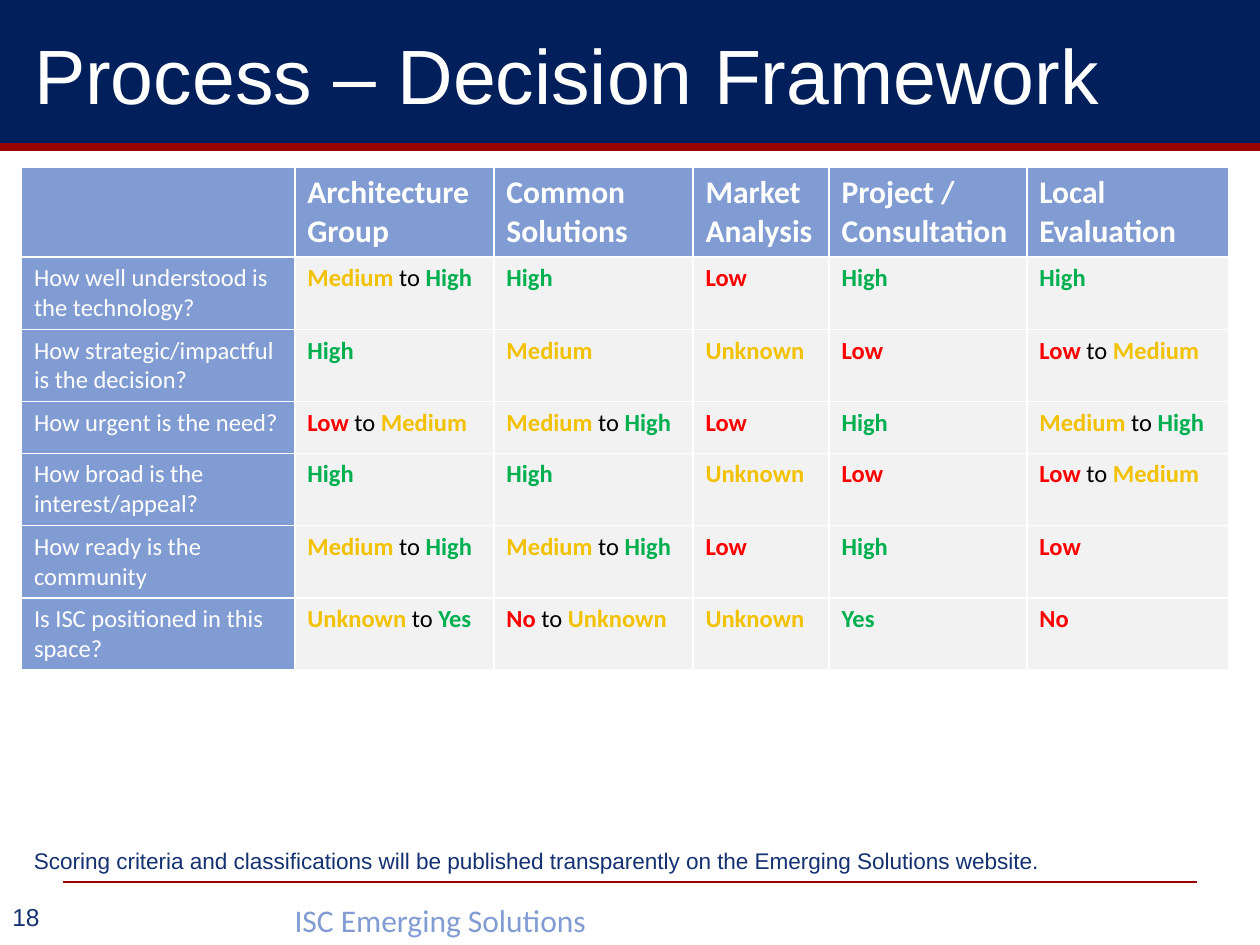
from lxml.etree import SubElement
from pptx import Presentation
from pptx.dml.color import RGBColor
from pptx.enum.shapes import MSO_CONNECTOR, MSO_SHAPE
from pptx.enum.text import MSO_ANCHOR, PP_ALIGN
from pptx.oxml.ns import qn
from pptx.util import Inches, Pt

NAVY = RGBColor(0x01, 0x1F, 0x5B)
INK = RGBColor(0x14, 0x31, 0x71)
MAROON = RGBColor(0x99, 0x00, 0x00)
BLUE = RGBColor(0x81, 0x9C, 0xD2)
PALE = RGBColor(0xF2, 0xF2, 0xF2)
WHITE = RGBColor(0xFF, 0xFF, 0xFF)
BLACK = RGBColor(0x00, 0x00, 0x00)
GREEN = RGBColor(0x00, 0xB0, 0x50)
AMBER = RGBColor(0xF2, 0xC1, 0x00)
RED = RGBColor(0xFF, 0x00, 0x00)

WIDTH, HEIGHT = 10, 7.5
BAND = 1.17
LEFT = 0.17
TABLE_TOP = 1.33
ROW = 0.41
COLS = [2.17, 1.58, 1.58, 1.08, 1.57, 1.6]

GRADES = {"High": GREEN, "Yes": GREEN, "Medium": AMBER, "Unknown": AMBER,
          "Low": RED, "No": RED}
HEADS = ["", "Architecture Group", "Common Solutions", "Market Analysis",
         "Project / Consultation", "Local Evaluation"]
SCORES = [
    ["How well understood is the technology?",
     "Medium to High", "High", "Low", "High", "High"],
    ["How strategic/impactful is the decision?",
     "High", "Medium", "Unknown", "Low", "Low to Medium"],
    ["How urgent is the need?",
     "Low to Medium", "Medium to High", "Low", "High", "Medium to High"],
    ["How broad is the interest/appeal?",
     "High", "High", "Unknown", "Low", "Low to Medium"],
    ["How ready is the community",
     "Medium to High", "Medium to High", "Low", "High", "Low"],
    ["Is ISC positioned in this space?",
     "Unknown to Yes", "No to Unknown", "Unknown", "Yes", "No"],
]


def style(font, name, size, color, bold=None):
    """Set the face, size, colour and weight of a font."""
    font.name, font.size, font.bold = name, Pt(size), bold
    font.color.rgb = color


def add_band(slide):
    """Draw the dark band behind the title."""
    band = slide.shapes.add_shape(
        MSO_SHAPE.RECTANGLE, 0, 0, Inches(WIDTH), Inches(BAND))
    band.shadow.inherit = False
    band.fill.solid()
    band.fill.fore_color.rgb = NAVY
    band.line.fill.background()


def add_rule(slide, start, end, top, weight):
    """Draw a level maroon line."""
    rule = slide.shapes.add_connector(
        MSO_CONNECTOR.STRAIGHT, *map(Inches, (start, top, end, top)))
    rule.line.color.rgb = MAROON
    rule.line.width = Pt(weight)
    SubElement(rule.element.spPr, qn("a:effectLst"))


def add_text(slide, box, text, name, size, color, align=PP_ALIGN.LEFT, wrap=True):
    """Place one paragraph in a text box."""
    frame = slide.shapes.add_textbox(*map(Inches, box)).text_frame
    frame.word_wrap = wrap
    line = frame.paragraphs[0]
    line.text, line.alignment = text, align
    style(line.font, name, size, color)


def set_title(slide, text):
    """Fit the title placeholder to the band and bring it forward."""
    title = slide.shapes.title
    title.left, title.top = Inches(LEFT), 0
    title.width, title.height = Inches(WIDTH - LEFT), Inches(BAND)
    title.text_frame.vertical_anchor = MSO_ANCHOR.MIDDLE
    line = title.text_frame.paragraphs[0]
    line.text, line.alignment = text, PP_ALIGN.LEFT
    style(line.font, "Arial", 44, WHITE)
    title.element.getparent().append(title.element)


def fill_cell(cell, text, size, back, bold):
    """Fill a heading cell with white text."""
    cell.fill.solid()
    cell.fill.fore_color.rgb = back
    line = cell.text_frame.paragraphs[0]
    line.text = text
    style(line.font, "Calibri", size, WHITE, bold)


def fill_score(cell, text):
    """Fill a score cell, colouring each grade in bold."""
    cell.fill.solid()
    cell.fill.fore_color.rgb = PALE
    line = cell.text_frame.paragraphs[0]
    for word in text.replace(" to ", "| to |").split("|"):
        run = line.add_run()
        run.text = word
        style(run.font, "Calibri", 14, GRADES.get(word, BLACK), word in GRADES)


def add_scores(slide):
    """Build the table of scores."""
    count = len(SCORES) + 1
    box = (LEFT, TABLE_TOP, sum(COLS), ROW * count)
    table = slide.shapes.add_table(count, len(COLS), *map(Inches, box)).table
    for column, width in zip(table.columns, COLS):
        column.width = Inches(width)
    for col, head in enumerate(HEADS):
        fill_cell(table.cell(0, col), head, 18, BLUE, True)
    for row, (ask, *scores) in enumerate(SCORES, 1):
        fill_cell(table.cell(row, 0), ask, 14, BLUE, False)
        for col, score in enumerate(scores, 1):
            fill_score(table.cell(row, col), score)


def main():
    """Build and save the slide."""
    deck = Presentation()
    deck.slide_width, deck.slide_height = Inches(WIDTH), Inches(HEIGHT)
    slide = deck.slides.add_slide(deck.slide_layouts[5])
    add_band(slide)
    add_rule(slide, 0, WIDTH, BAND, 4.5)
    add_rule(slide, 0.5, WIDTH - 0.5, 7, 1.5)
    add_text(slide, (0.58, 7.1, 5.83, 0.71), "ISC Emerging Solutions",
             "Calibri", 18, BLUE, PP_ALIGN.CENTER)
    add_text(slide, (0, 7.11, 0.44, 0.34), "18", "Arial", 14, INK, wrap=False)
    set_title(slide, "Process – Decision Framework")
    add_scores(slide)
    add_text(slide, (LEFT, 6.67, sum(COLS), 0.28),
             "Scoring criteria and classifications will be published "
             "transparently on the Emerging Solutions website.",
             "Arial", 12.9, INK)
    deck.save("out.pptx")


if __name__ == "__main__":
    main()
